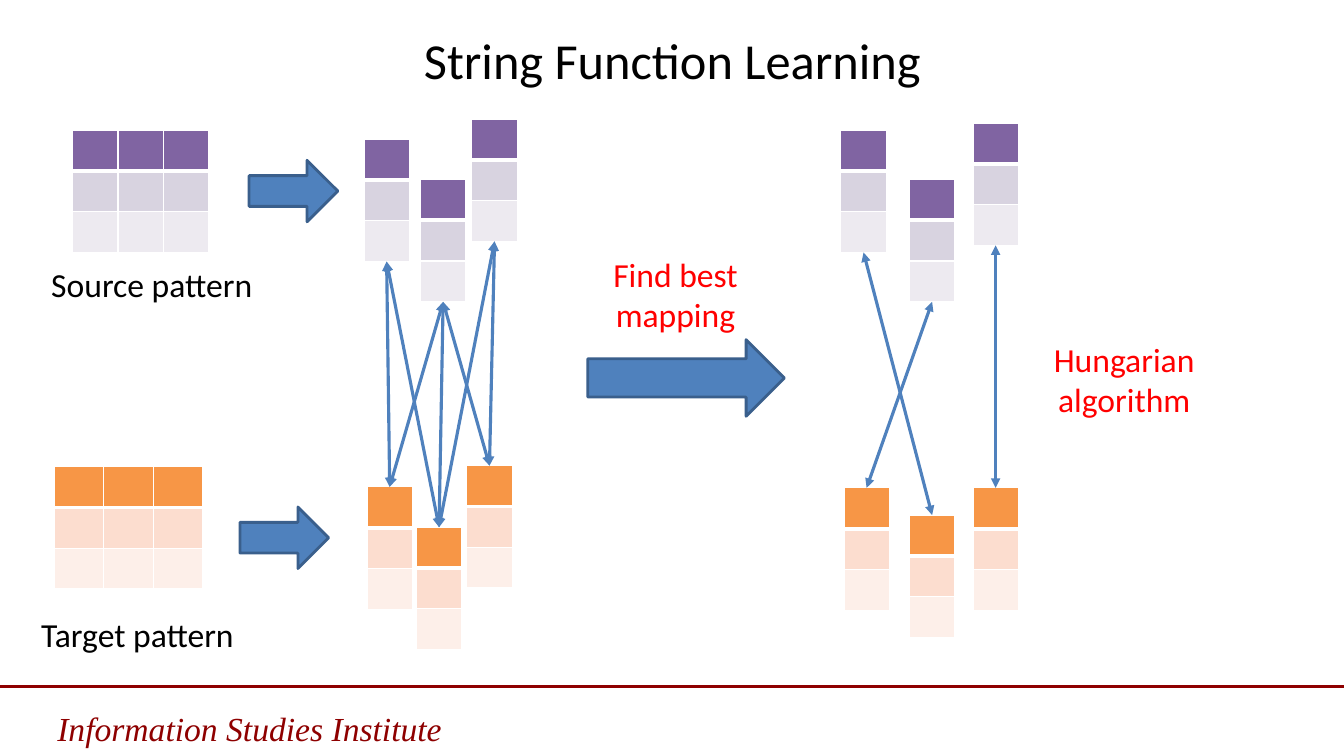
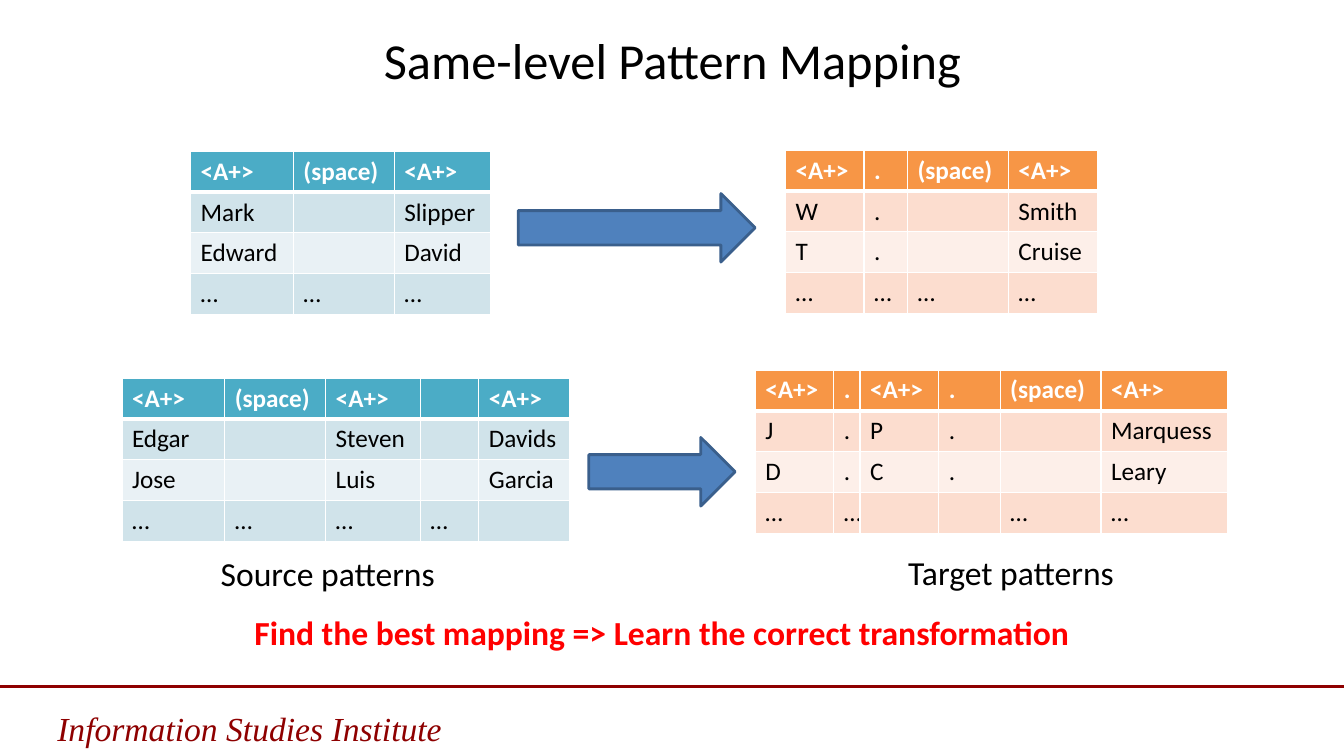
import pptx
import pptx.dml.color
import pptx.enum.shapes
import pptx.enum.text
import pptx.oxml
import pptx.oxml.ns
import pptx.util
from lxml import etree

Inches = pptx.util.Inches
Pt = pptx.util.Pt
RGBColor = pptx.dml.color.RGBColor
PP_ALIGN = pptx.enum.text.PP_ALIGN
qn = pptx.oxml.ns.qn

BLACK = RGBColor(0x00, 0x00, 0x00)
WHITE = RGBColor(0xFF, 0xFF, 0xFF)
RED = RGBColor(0xFF, 0x00, 0x00)
MAROON = RGBColor(0x8E, 0x00, 0x00)
BLUE = RGBColor(0x4F, 0x81, 0xBD)
DARK_BLUE = RGBColor(0x3A, 0x5F, 0x8C)
PURPLE = (RGBColor(0x80, 0x64, 0xA2), RGBColor(0xD8, 0xD3, 0xE0), RGBColor(0xED, 0xEA, 0xF0))
ORANGE = (RGBColor(0xF7, 0x96, 0x46), RGBColor(0xFC, 0xDD, 0xCF), RGBColor(0xFD, 0xEF, 0xE9))
TEAL = (RGBColor(0x4B, 0xAC, 0xC6), RGBColor(0xD0, 0xE3, 0xEA), RGBColor(0xE9, 0xF1, 0xF5))

SLIDE_WIDTH = 13.33
ROW_HEIGHT = 1.62 / 4
COLUMN_WIDTH = 0.45
PATTERN_ROWS = 3
ETC = "\u2026"


def add_run(paragraph, text, size, color, bold=False, italic=False, font="Calibri"):
    """Add one formatted run to a paragraph."""
    run = paragraph.add_run()
    run.text = text
    run.font.name = font
    run.font.size = Pt(size)
    run.font.bold = bold
    run.font.italic = italic
    run.font.color.rgb = color


def add_text(slide, text, box, size=24, color=BLACK, align=PP_ALIGN.LEFT, **style):
    """Add a wrapping text box and return its frame."""
    frame = slide.shapes.add_textbox(*map(Inches, box)).text_frame
    frame.word_wrap = True
    frame.auto_size = pptx.enum.text.MSO_AUTO_SIZE.SHAPE_TO_FIT_TEXT
    paragraph = frame.paragraphs[0]
    paragraph.alignment = align
    add_run(paragraph, text, size, color, **style)
    return frame


def add_line(slide, start, end, color):
    """Add a straight connector without a shadow."""
    connector = slide.shapes.add_connector(
        pptx.enum.shapes.MSO_CONNECTOR.STRAIGHT, *map(Inches, (*start, *end)))
    connector.line.color.rgb = color
    connector.line.width = Pt(2.25)
    etree.SubElement(connector._element.spPr, qn("a:effectLst"))
    return connector


def add_double_arrow(slide, start, end):
    """Add a connector with a triangle at each end."""
    line = add_line(slide, start, end, BLUE).line._get_or_add_ln()
    for tag in ("a:headEnd", "a:tailEnd"):
        etree.SubElement(line, qn(tag), type="triangle")


def add_block_arrow(slide, box):
    """Add a blue block arrow pointing right."""
    arrow = slide.shapes.add_shape(
        pptx.enum.shapes.MSO_SHAPE.RIGHT_ARROW, *map(Inches, box))
    arrow.shadow.inherit = False
    arrow.fill.solid()
    arrow.fill.fore_color.rgb = BLUE
    arrow.line.color.rgb = DARK_BLUE
    arrow.line.width = Pt(2)


def set_borders(cell, top, bottom):
    """Give a cell white borders, with its top and bottom widths in points."""
    properties = cell._tc.get_or_add_tcPr()
    for side, width in (("L", 1), ("R", 1), ("T", top), ("B", bottom)):
        border = etree.SubElement(properties, qn(f"a:ln{side}"), w=str(Pt(width)))
        fill = etree.SubElement(border, qn("a:solidFill"))
        etree.SubElement(fill, qn("a:srgbClr"), val=str(WHITE))


def add_pattern_table(slide, left, top, widths, rows, palette):
    """Add a table with a dark header and alternating light rows."""
    table = slide.shapes.add_table(
        len(rows), len(widths), Inches(left), Inches(top),
        Inches(sum(widths)), Inches(ROW_HEIGHT * len(rows))).table
    for column, width in zip(table.columns, widths):
        column.width = Inches(width)
    header, odd, even = palette
    for row_index, row in enumerate(rows):
        is_header = row_index == 0
        color = header if is_header else odd if row_index % 2 else even
        for column_index, text in enumerate(row):
            cell = table.cell(row_index, column_index)
            set_borders(cell, 3 if row_index == 1 else 1, 3 if is_header else 1)
            cell.fill.solid()
            cell.fill.fore_color.rgb = color
            if text:
                add_run(cell.text_frame.paragraphs[0], text, 18,
                        WHITE if is_header else BLACK, bold=is_header)


def add_empty_pattern(slide, left, top, widths, palette):
    """Add a pattern table that shows only its colours."""
    add_pattern_table(slide, left, top, widths, [[""] * len(widths)] * PATTERN_ROWS, palette)


def add_column_mapping(slide, sources, targets, pairs):
    """Add single source and target columns and join the given pairs."""
    for positions, palette in ((sources, PURPLE), (targets, ORANGE)):
        for left, top in positions:
            add_empty_pattern(slide, left, top, [COLUMN_WIDTH], palette)
    for source, target in pairs:
        source_left, source_top = sources[source]
        target_left, target_top = targets[target]
        add_double_arrow(
            slide,
            (source_left + COLUMN_WIDTH / 2, source_top + PATTERN_ROWS * ROW_HEIGHT),
            (target_left + COLUMN_WIDTH / 2, target_top))


def add_base_slide(presentation, title):
    """Add a blank slide with the shared title, rule and footer."""
    slide = presentation.slides.add_slide(presentation.slide_layouts[6])
    add_line(slide, (0, 6.81), (SLIDE_WIDTH, 6.81), MAROON)
    add_text(slide, "Information Studies Institute", (0.47, 6.97, 6.57, 0.51),
             color=MAROON, italic=True, font="Times New Roman")
    frame = add_text(slide, title, (0.67, 0.24, 12, 0.7), size=36, align=PP_ALIGN.CENTER)
    frame.auto_size = pptx.enum.text.MSO_AUTO_SIZE.NONE
    frame.vertical_anchor = pptx.enum.text.MSO_ANCHOR.MIDDLE
    return slide


def build_function_learning(presentation):
    """Build the slide on choosing the best column mapping."""
    slide = add_base_slide(presentation, "String Function Learning")
    add_empty_pattern(slide, 0.72, 1.29, [COLUMN_WIDTH] * 3, PURPLE)
    add_empty_pattern(slide, 0.54, 4.63, [0.49] * 3, ORANGE)
    add_column_mapping(
        slide,
        [(3.61, 1.38), (4.17, 1.78), (4.68, 1.18)],
        [(3.64, 4.83), (4.13, 5.23), (4.63, 4.62)],
        [(0, 1), (2, 1), (1, 1), (1, 0), (1, 2), (0, 0), (2, 2)])
    add_column_mapping(
        slide,
        [(8.34, 1.29), (9.02, 1.78), (9.65, 1.22)],
        [(8.37, 4.84), (9.02, 5.11), (9.65, 4.84)],
        [(0, 1), (1, 0), (2, 2)])
    for box in ((2.47, 1.59, 0.88, 0.61), (2.38, 5.03, 0.88, 0.61), (5.83, 3.37, 1.95, 0.76)):
        add_block_arrow(slide, box)
    add_text(slide, "Source pattern", (0.41, 2.57, 2.33, 0.5))
    add_text(slide, "Target pattern", (0.31, 6.04, 2.52, 0.5))
    add_text(slide, "Find best mapping", (5.63, 2.47, 2.14, 0.91),
             color=RED, align=PP_ALIGN.CENTER)
    add_text(slide, "Hungarian algorithm", (10.11, 3.31, 2.08, 0.91),
             color=RED, align=PP_ALIGN.CENTER)


def build_pattern_mapping(presentation):
    """Build the slide that maps source patterns to target patterns."""
    slide = add_base_slide(presentation, "Same-level Pattern Mapping")
    add_pattern_table(slide, 1.89, 1.5, [1.02, 1, 0.96], [
        ["<A+>", "(space)", "<A+>"],
        ["Mark", "", "Slipper"],
        ["Edward", "", "David"],
        [ETC, ETC, ETC]], TEAL)
    add_pattern_table(slide, 7.79, 1.49, [0.78, 0.43, 1, 0.89], [
        ["<A+>", ".", "(space)", "<A+>"],
        ["W", ".", "", "Smith"],
        ["T", ".", "", "Cruise"],
        [ETC, ETC, ETC, ETC]], ORANGE)
    add_pattern_table(slide, 1.21, 3.75, [1.02, 1, 0.94, 0.58, 0.9], [
        ["<A+>", "(space)", "<A+>", "", "<A+>"],
        ["Edgar", "", "Steven", "", "Davids"],
        ["Jose", "", "Luis", "", "Garcia"],
        [ETC, ETC, ETC, ETC, ""]], TEAL)
    add_pattern_table(slide, 7.49, 3.67, [0.78, 0.26, 0.78, 0.61, 1, 1.26], [
        ["<A+>", ".", "<A+>", ".", "(space)", "<A+>"],
        ["J", ".", "P", ".", "", "Marquess"],
        ["D", ".", "C", ".", "", "Leary"],
        [ETC, ETC, "", "", ETC, ETC]], ORANGE)
    add_block_arrow(slide, (5.14, 1.92, 2.35, 0.68))
    add_block_arrow(slide, (5.84, 4.34, 1.45, 0.68))
    add_text(slide, "Find the best mapping => Learn the correct transformation",
             (1.9, 6.02, 9.33, 0.5), color=RED, align=PP_ALIGN.CENTER, bold=True)
    add_text(slide, "Source patterns", (2.09, 5.44, 2.33, 0.5))
    add_text(slide, "Target patterns", (8.91, 5.43, 2.33, 0.5))


def main():
    """Build and save the presentation."""
    presentation = pptx.Presentation()
    presentation.slide_width = Inches(SLIDE_WIDTH)
    presentation.slide_height = Inches(7.5)
    build_function_learning(presentation)
    build_pattern_mapping(presentation)
    presentation.save("out.pptx")


main()
